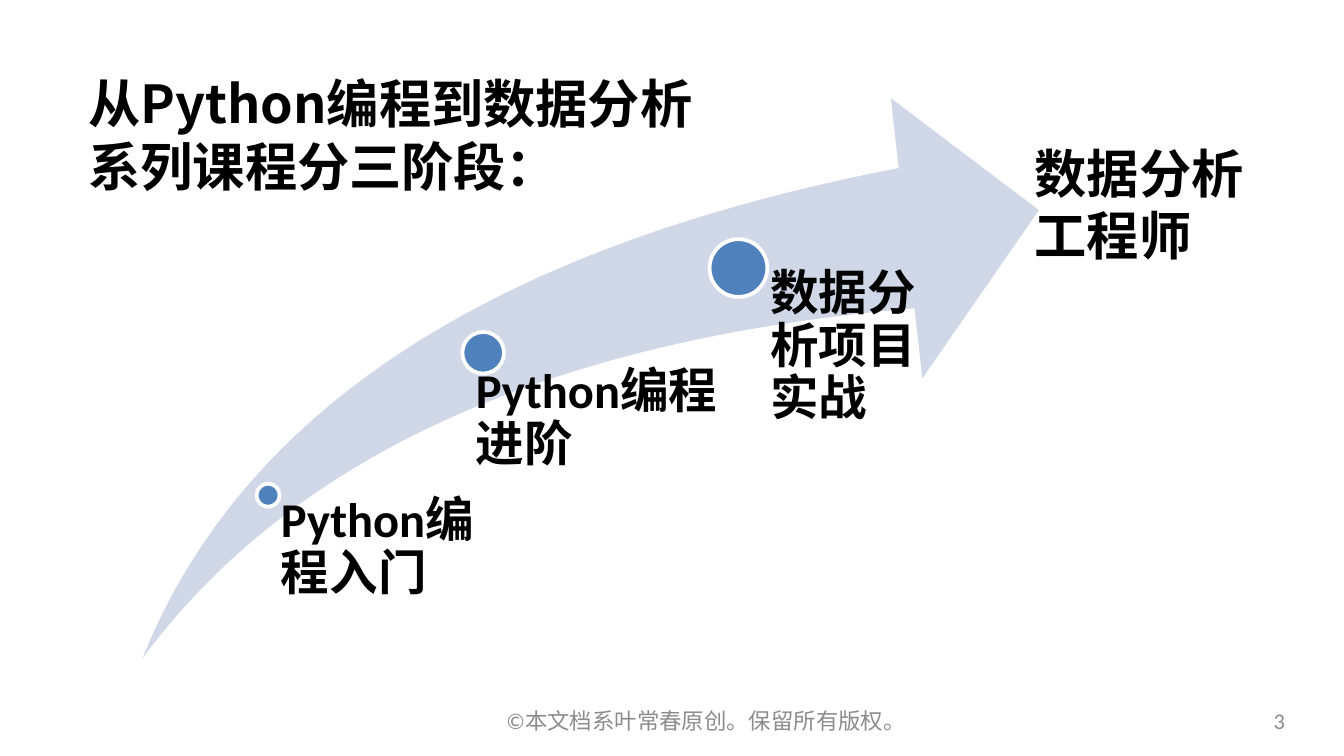
"""Build a slide showing three course stages rising along a swoosh arrow."""
from lxml.etree import SubElement
from pptx import Presentation
from pptx.dml.color import RGBColor
from pptx.enum.shapes import MSO_SHAPE as SHAPE
from pptx.enum.text import MSO_ANCHOR as ANCHOR, PP_ALIGN as ALIGN
from pptx.oxml.ns import qn
from pptx.util import Inches, Pt

BLACK = RGBColor(0x00, 0x00, 0x00)
GRAY = RGBColor(0x8C, 0x8C, 0x8C)
WHITE = RGBColor(0xFF, 0xFF, 0xFF)
BLUE = RGBColor(0x4F, 0x81, 0xBD)
PALE_BLUE = RGBColor(0xD0, 0xD8, 0xE8)

STAGES = [
    ("Python编程入门", (1.91, 3.6, 0.17), (2, 3.69, 1.55, 1.2), 0.09),
    ("Python编程进阶", (3.44, 2.47, 0.31), (3.37, 2.73, 2.05, 2.06), 0.17),
    ("数据分析项目实战", (5.28, 1.78, 0.43), (5.5, 2, 1.6, 2.9), 0.23),
]


class SlideBuilder:
    font = "Calibri"
    cjk_font = "Noto Sans CJK SC"

    def __init__(self, slide):
        self.slide = slide

    def shape(self, kind, box, fill, line=None):
        sp = self.slide.shapes.add_shape(kind, *map(Inches, box))
        sp.shadow.inherit = False
        sp.fill.solid()
        sp.fill.fore_color.rgb = fill
        if line is None:
            sp.line.fill.background()
        else:
            sp.line.color.rgb = line
            sp.line.width = Pt(2)
        return sp

    def text(self, text, box, size, color=BLACK, bold=True, font=None,
             align=ALIGN.LEFT, anchor=ANCHOR.TOP):
        sp = self.slide.shapes.add_textbox(*map(Inches, box))
        tf = sp.text_frame
        tf.text = text
        tf.word_wrap = True
        tf.vertical_anchor = anchor
        p = tf.paragraphs[0]
        p.alignment = align
        r = p.runs[0]
        r.font.name = font or self.font
        r.font.size = Pt(size)
        r.font.bold = bold
        r.font.color.rgb = color
        SubElement(r.font._element, qn("a:ea"), typeface=self.cjk_font)
        return tf

    def footer(self, text, box, align):
        self.text(text, box, 12, GRAY, False, align=align, anchor=ANCHOR.MIDDLE)

    def stage(self, label, dot, box, indent):
        left, top, size = dot
        self.shape(SHAPE.OVAL, (left, top, size, size), BLUE, WHITE)
        tf = self.text(label, box, 26)
        tf.margin_left = Inches(indent)
        tf.margin_top = tf.margin_right = tf.margin_bottom = 0
        tf.paragraphs[0].line_spacing = 0.9


def main():
    prs = Presentation()
    prs.slide_width = Inches(10)
    prs.slide_height = prs.slide_width * 9 // 16
    s = SlideBuilder(prs.slides.add_slide(prs.slide_layouts[6]))

    s.footer("©本文档系叶常春原创。保留所有版权。", (3.67, 5.21, 3.17, 0.3), ALIGN.CENTER)
    s.footer("3", (7.33, 5.21, 2.33, 0.3), ALIGN.RIGHT)

    arrow = s.shape(SHAPE.SWOOSH_ARROW, (1.06, 0.73, 6.67, 4.17), PALE_BLUE)
    arrow.adjustments[0] = arrow.adjustments[1] = 0.25
    for stage in STAGES:
        s.stage(*stage)

    s.text("数据分析工程师", (7.6, 1, 1.89, 1.04), 28)
    s.text("从Python编程到数据分析系列课程分三阶段：", (0.56, 0.48, 4.72, 1.04), 28,
           font=s.cjk_font)
    prs.save("out.pptx")


if __name__ == "__main__":
    main()
